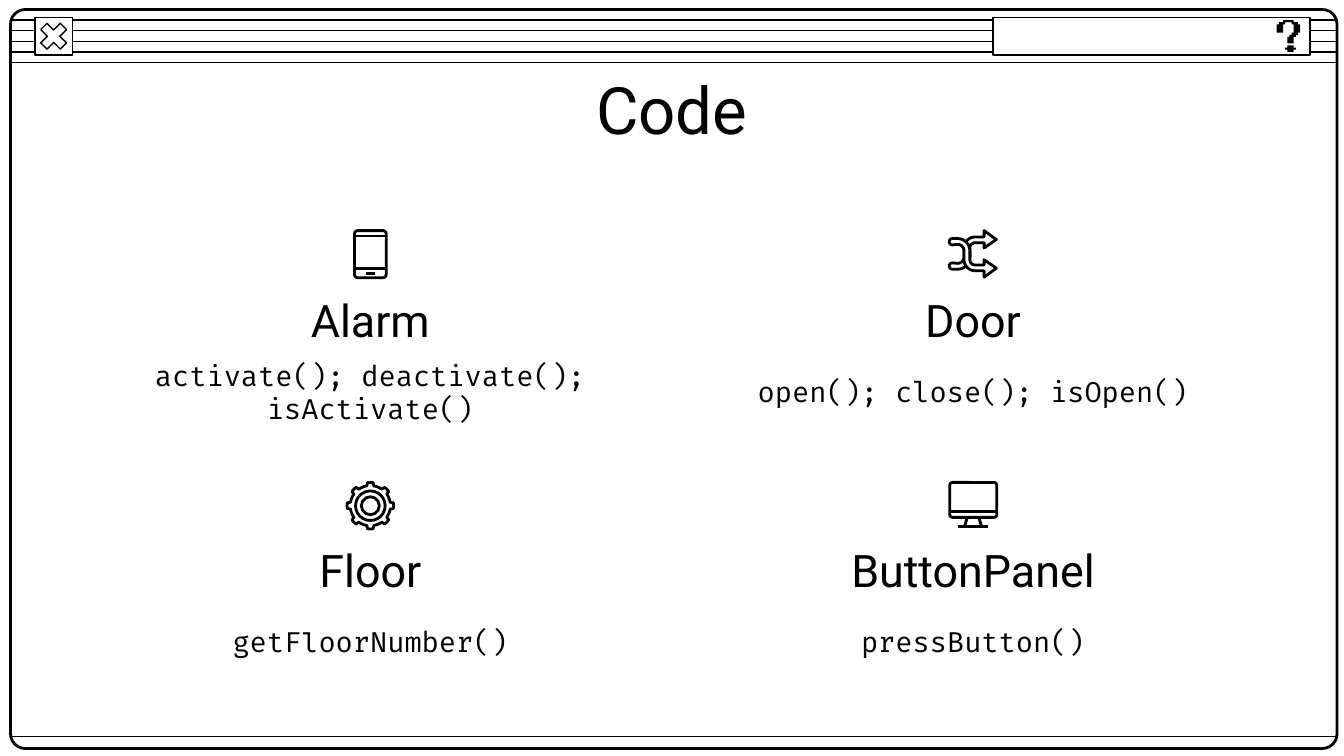
from math import cos, radians, sin

from pptx import Presentation
from pptx import util as u
from pptx.dml.color import RGBColor
from pptx.enum import shapes, text
from pptx.oxml.ns import qn

COLOURS = {"ink": "000000", "paper": "FFFFFF"}
FONTS = {"title": "Roboto", "code": "Fira Code"}
KINDS = shapes.MSO_SHAPE


def arc(x, y, radius, start, end, steps=8):
    """Points along an arc, with angles in degrees clockwise from the right."""
    angles = [radians(start + (end - start) * i / steps) for i in range(steps + 1)]
    return [(x + radius * cos(a), y + radius * sin(a)) for a in angles]


class Painter:
    """Holds the style and the current slide; all lengths are in centimetres."""

    thin, thick = 0.75, 1.5

    def __init__(self, page):
        self.page = page

    def colour(self, name):
        return RGBColor.from_string(COLOURS[name])

    def paint(self, shape, fill, weight):
        shape.shadow.inherit = False
        if fill:
            shape.fill.solid()
            shape.fill.fore_color.rgb = self.colour(fill)
        else:
            shape.fill.background()
        if weight:
            shape.line.color.rgb = self.colour("ink")
            shape.line.width = u.Pt(weight)
        else:
            shape.line.fill.background()

    def shape(self, kind, x, y, width, height, fill=None, weight=thin, adjust=None):
        shape = self.page.shapes.add_shape(
            kind, u.Cm(x), u.Cm(y), u.Cm(width), u.Cm(height))
        if adjust is not None:
            shape.adjustments[0] = adjust
        self.paint(shape, fill, weight)

    def circle(self, x, y, radius):
        self.shape(KINDS.OVAL, x - radius, y - radius, 2 * radius, 2 * radius,
                   weight=self.thick)

    def outline(self, x, y, points, fill=None, weight=None):
        """Closed outline whose points are offsets from (x, y)."""
        corners = [(u.Cm(x + dx), u.Cm(y + dy)) for dx, dy in points]
        builder = self.page.shapes.build_freeform(*corners[0])
        builder.add_line_segments(corners[1:], close=True)
        self.paint(builder.convert_to_shape(), fill, weight)

    def line(self, x1, y1, x2, y2, weight=thin):
        line = self.page.shapes.add_connector(
            shapes.MSO_CONNECTOR.STRAIGHT, u.Cm(x1), u.Cm(y1), u.Cm(x2), u.Cm(y2))
        line.line.color.rgb = self.colour("ink")
        line.line.width = u.Pt(weight)
        properties = line._element.spPr
        properties.append(properties.makeelement(qn("a:effectLst"), {}))

    def text(self, words, x, y, width, height, size, font="title"):
        box = self.page.shapes.add_textbox(u.Cm(x), u.Cm(y), u.Cm(width), u.Cm(height))
        frame = box.text_frame
        frame.word_wrap = True
        frame.vertical_anchor = text.MSO_ANCHOR.MIDDLE
        for side in ("left", "top", "right", "bottom"):
            setattr(frame, f"margin_{side}", u.Cm(0.25))
        para = frame.paragraphs[0]
        para.alignment = text.PP_ALIGN.CENTER
        span = para.add_run()
        span.text = words
        span.font.size = u.Pt(size)
        span.font.name = FONTS[font]
        span.font.color.rgb = self.colour("ink")

    # Icons, each centred on (x, y)
    def tablet(self, x, y):
        self.shape(KINDS.ROUNDED_RECTANGLE, x - 0.3, y - 0.44, 0.6, 0.89,
                   weight=self.thick, adjust=0.1)
        for dy, half in ((-0.34, 0.3), (0.28, 0.3), (0.37, 0.08)):
            self.line(x - half, y + dy, x + half, y + dy, self.thick)

    def shuffle(self, x, y):
        ribbon = [
            *arc(-0.29, -0.06, 0.23, -90, 0), *arc(0.04, 0.11, 0.1, 180, 90),
            (0.21, 0.21), (0.21, 0.11), (0.44, 0.27), (0.21, 0.44), (0.21, 0.32),
            *arc(0.04, 0.11, 0.21, 90, 180), *arc(-0.29, -0.06, 0.12, 0, -90),
            *arc(-0.39, -0.23, 0.06, 90, 270),
        ]
        for flip in (-1, 1):
            self.outline(x, y, [(dx, flip * dy) for dx, dy in ribbon],
                         "paper", self.thick)

    def gear(self, x, y):
        rim = []
        for tooth in range(0, 360, 45):
            rim += arc(0, 0, 0.44, tooth - 7, tooth + 7, 2)
            rim += arc(0, 0, 0.38, tooth + 10, tooth + 35, 4)
        self.outline(x, y, rim, weight=self.thick)
        for radius in (0.28, 0.17):
            self.circle(x, y, radius)

    def monitor(self, x, y):
        self.shape(KINDS.ROUNDED_RECTANGLE, x - 0.44, y - 0.44, 0.89, 0.66,
                   weight=self.thick, adjust=0.08)
        self.line(x - 0.44, y + 0.11, x + 0.44, y + 0.11, self.thick)
        for side in (-1, 1):
            self.line(x + side * 0.11, y + 0.22, x + side * 0.16, y + 0.39, self.thick)
        self.line(x - 0.28, y + 0.39, x + 0.28, y + 0.39, self.thick)


def draw_window(painter):
    # Title bar stripes, frame and foot line
    for y in [0.38 + 0.2 * i for i in range(5)] + [13.92]:
        painter.line(0.2, y, 25.27, y)
    painter.shape(KINDS.ROUNDED_RECTANGLE, 0.2, 0.18, 25.07, 13.97,
                  weight=painter.thick, adjust=0.02)

    # Close button and search field
    painter.shape(KINDS.RECTANGLE, 0.66, 0.33, 0.71, 0.71, "paper")
    painter.shape(KINDS.MATH_MULTIPLY, 0.66, 0.33, 0.71, 0.71, "paper", adjust=0.235)
    painter.shape(KINDS.RECTANGLE, 18.77, 0.33, 5.99, 0.71, "paper")

    # Question mark on a grid of small squares
    hook = [(3, 0), (3, 1), (1, 1), (1, 2), (0, 2), (0, 6), (3, 6), (3, 2),
            (4, 2), (4, 1), (7, 1), (7, 2), (8, 2), (8, 6), (7, 6), (7, 7),
            (6, 7), (6, 8), (5, 8), (5, 11), (8, 11), (8, 8), (9, 8), (9, 7),
            (10, 7), (10, 6), (11, 6), (11, 2), (10, 2), (10, 1), (8, 1), (8, 0)]
    dot = [(5, 12), (5, 13), (4, 13), (4, 14), (5, 14), (5, 15),
           (8, 15), (8, 14), (9, 14), (9, 13), (8, 13), (8, 12)]
    for part in (hook, dot):
        painter.outline(24.13, 0.38, [(0.04 * c, 0.04 * r) for c, r in part], "ink")


def main():
    deck = Presentation()
    deck.slide_width, deck.slide_height = u.Cm(25.4), u.Cm(14.29)
    painter = Painter(deck.slides.add_slide(deck.slide_layouts[6]))

    draw_window(painter)
    painter.text("Code", 2, 1.24, 21.4, 1.6, 35)

    # Two by two grid of classes and their methods
    classes = [
        ("Alarm", "activate(); deactivate(); isActivate()", painter.tablet),
        ("Door", "open(); close(); isOpen()", painter.shuffle),
        ("Floor", "getFloorNumber()", painter.gear),
        ("ButtonPanel", "pressButton()", painter.monitor),
    ]
    for index, (name, methods, icon) in enumerate(classes):
        row, column = divmod(index, 2)
        left, top = 2 + 11.39 * column, 5.31 + 4.72 * row
        icon(left + 5, 4.8 + 4.76 * row)
        painter.text(name, left, top, 10, 1.47, 24)
        painter.text(methods, left, top + 1.42, 10, 1.35, 15, "code")

    deck.save("out.pptx")


if __name__ == "__main__":
    main()
